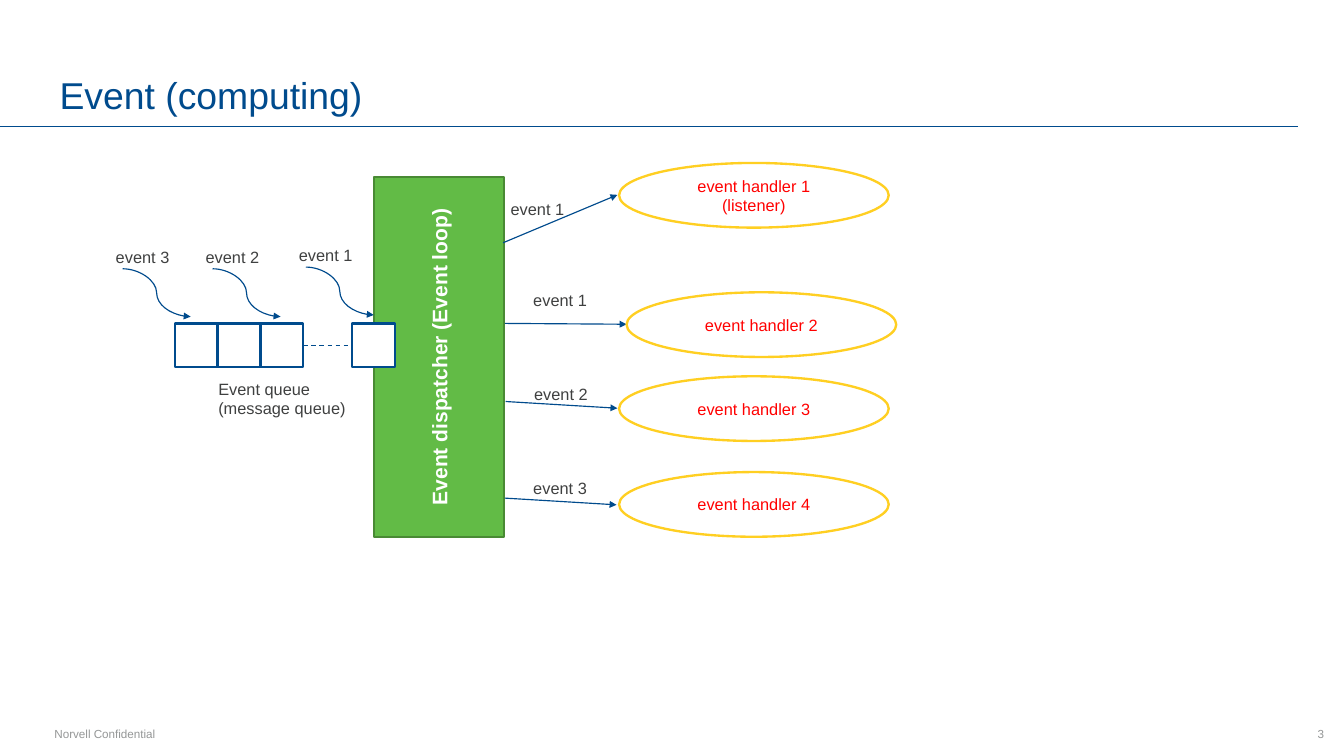
from dataclasses import dataclass

from lxml import etree
from pptx import Presentation
from pptx.dml.color import RGBColor
from pptx.enum.dml import MSO_LINE
from pptx.enum.shapes import MSO_CONNECTOR, MSO_SHAPE
from pptx.enum.text import MSO_ANCHOR, MSO_AUTO_SIZE, PP_ALIGN
from pptx.oxml.ns import qn
from pptx.util import Inches, Pt

RECT, OVAL = MSO_SHAPE.RECTANGLE, MSO_SHAPE.OVAL
STRAIGHT, CURVE = MSO_CONNECTOR.STRAIGHT, MSO_CONNECTOR.CURVE
LEFT, CENTER, RIGHT = PP_ALIGN.LEFT, PP_ALIGN.CENTER, PP_ALIGN.RIGHT
TOP, MIDDLE, BOTTOM = MSO_ANCHOR.TOP, MSO_ANCHOR.MIDDLE, MSO_ANCHOR.BOTTOM
FIT, DASH = MSO_AUTO_SIZE.SHAPE_TO_FIT_TEXT, MSO_LINE.DASH

FONT = "Arial"
BLUE, GREEN, DARK_GREEN = "004B8D", "62BB46", "498A34"
YELLOW, RED, WHITE = "FFCF22", "FF0000", "FFFFFF"
TEXT, MUTED = "3F4040", "959797"

CELL_W, CELL_H, CELL_Y = 0.51, 0.52, 3.85
HANDLER_W, HANDLER_H = 3.21, 0.77
LABEL_W, LABEL_H = 0.84, 0.34


@dataclass
class Incoming:
    """An event that falls into the queue."""
    name: str
    x: float
    y: float


@dataclass
class Dispatch:
    """An arrow from the dispatcher to a handler."""
    event: str
    label: tuple[float, float]
    start: tuple[float, float]
    end: tuple[float, float]
    handler: list[str]
    at: tuple[float, float]


INCOMING = [
    Incoming("event 1", 3.46, 2.87),
    Incoming("event 2", 2.35, 2.89),
    Incoming("event 3", 1.28, 2.89),
]
DISPATCHES = [
    Dispatch("event 1", (5.98, 2.32), (5.99, 2.89), (7.35, 2.32),
             ["event handler 1", "(listener)"], (7.37, 1.94)),
    Dispatch("event 1", (6.25, 3.41), (6.01, 3.85), (7.46, 3.86),
             ["event handler 2"], (7.46, 3.48)),
    Dispatch("event 2", (6.26, 4.53), (6.02, 4.78), (7.35, 4.86),
             ["event handler 3"], (7.37, 4.48)),
    Dispatch("event 3", (6.25, 5.64), (6.01, 5.93), (7.34, 6.01),
             ["event handler 4"], (7.37, 5.62)),
]


def rgb(value: str) -> RGBColor:
    return RGBColor.from_string(value)


def write(tf, lines: list[str], size: float, color: str,
          align=LEFT, anchor=TOP, bold: bool = False) -> None:
    tf.vertical_anchor = anchor
    for i, line in enumerate(lines):
        p = tf.paragraphs[0] if i == 0 else tf.add_paragraph()
        p.alignment = align
        r = p.add_run()
        r.text = line
        r.font.name, r.font.size, r.font.bold = FONT, Pt(size), bold
        r.font.color.rgb = rgb(color)


def add_text(shapes, x: float, y: float, w: float, h: float, lines: list[str],
             size: float = 14, color: str = TEXT, align=LEFT, anchor=TOP,
             wrap: bool = False):
    sp = shapes.add_textbox(Inches(x), Inches(y), Inches(w), Inches(h))
    tf = sp.text_frame
    write(tf, lines, size, color, align, anchor)
    tf.word_wrap = wrap
    if not wrap:
        tf.auto_size = FIT
    return sp


def add_box(shapes, kind, x: float, y: float, w: float, h: float,
            fill: str, line: str):
    sp = shapes.add_shape(kind, Inches(x), Inches(y), Inches(w), Inches(h))
    sp.shadow.inherit = False
    sp.fill.solid()
    sp.fill.fore_color.rgb = rgb(fill)
    sp.line.color.rgb = rgb(line)
    sp.line.width = Pt(2)
    return sp


def add_line(shapes, start: tuple[float, float], end: tuple[float, float],
             kind=STRAIGHT, width: float = 1, arrow: bool = False):
    cx = shapes.add_connector(kind, Inches(start[0]), Inches(start[1]),
                              Inches(end[0]), Inches(end[1]))
    cx.line.color.rgb = rgb(BLUE)
    cx.line.width = Pt(width)
    if arrow:
        etree.SubElement(cx.line._get_or_add_ln(), qn("a:tailEnd"), type="triangle")
    etree.SubElement(cx._element.spPr, qn("a:effectLst"))
    return cx


def add_incoming(shapes, item: Incoming) -> None:
    group = shapes.add_group_shape().shapes
    x, y = item.x + 0.18, item.y + 0.31
    add_line(group, (x, y), (x + 0.81, y + 0.57), CURVE, arrow=True)
    add_text(group, item.x, item.y, LABEL_W, LABEL_H, [item.name])


def add_dispatch(shapes, item: Dispatch) -> None:
    add_line(shapes, item.start, item.end, arrow=True)
    add_text(shapes, *item.label, LABEL_W, LABEL_H, [item.event])
    sp = add_box(shapes, OVAL, *item.at, HANDLER_W, HANDLER_H, WHITE, YELLOW)
    write(sp.text_frame, item.handler, 14, RED, CENTER, MIDDLE)


def main() -> None:
    prs = Presentation()
    prs.slide_width, prs.slide_height = Inches(16), Inches(9)
    slide = prs.slides.add_slide(prs.slide_layouts[5])
    shapes = slide.shapes

    # Title and rule
    title = shapes.title
    title.left, title.top = Inches(0.55), Inches(0.36)
    title.width, title.height = Inches(14.9), Inches(1.11)
    tf = title.text_frame
    tf.margin_left = tf.margin_right = Inches(0.16)
    tf.margin_top = tf.margin_bottom = Inches(0.08)
    write(tf, ["Event (computing)"], 32, BLUE, LEFT, BOTTOM)
    add_line(shapes, (0, 1.51), (15.45, 1.51), width=0.75)

    # Dispatcher
    sp = add_box(shapes, RECT, 4.45, 2.11, 1.55, 4.28, GREEN, DARK_GREEN)
    write(sp.text_frame, ["Event dispatcher (Event loop)"], 18, WHITE,
          CENTER, MIDDLE, bold=True)
    sp.text_frame._txBody.bodyPr.set("vert", "vert270")

    # Event queue
    for item in INCOMING:
        add_incoming(shapes, item)
    cell_xs = [2.08 + i * CELL_W for i in range(3)] + [4.19]
    cells = [add_box(shapes, RECT, x, CELL_Y, CELL_W, CELL_H, WHITE, BLUE)
             for x in cell_xs]
    gap = add_line(shapes, (3.61, 4.11), (4.19, 4.11))
    gap.line.dash_style = DASH
    gap.begin_connect(cells[2], 3)
    gap.end_connect(cells[3], 1)
    add_text(shapes, 2.5, 4.46, 1.72, 0.57, ["Event queue", "(message queue)"])

    # Handlers
    for item in DISPATCHES:
        add_dispatch(shapes, item)

    # Footer
    add_text(shapes, 0.55, 8.6, 1.8, 0.27, ["Norvell Confidential"], 10, MUTED,
             wrap=True)
    add_text(shapes, 15.31, 8.6, 0.55, 0.27, ["3"], 10, MUTED, RIGHT, MIDDLE,
             wrap=True)

    prs.save("out.pptx")


if __name__ == "__main__":
    main()
